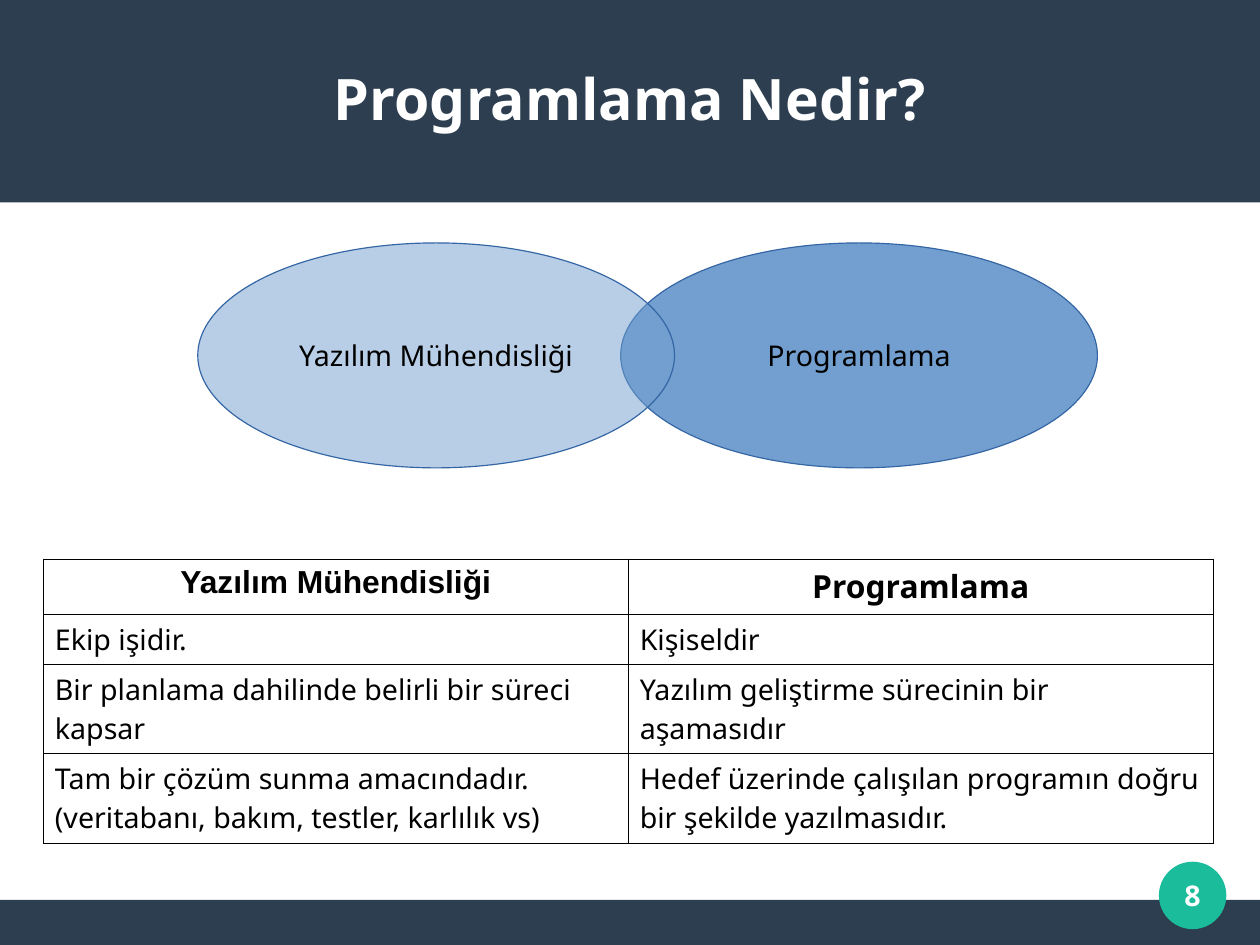
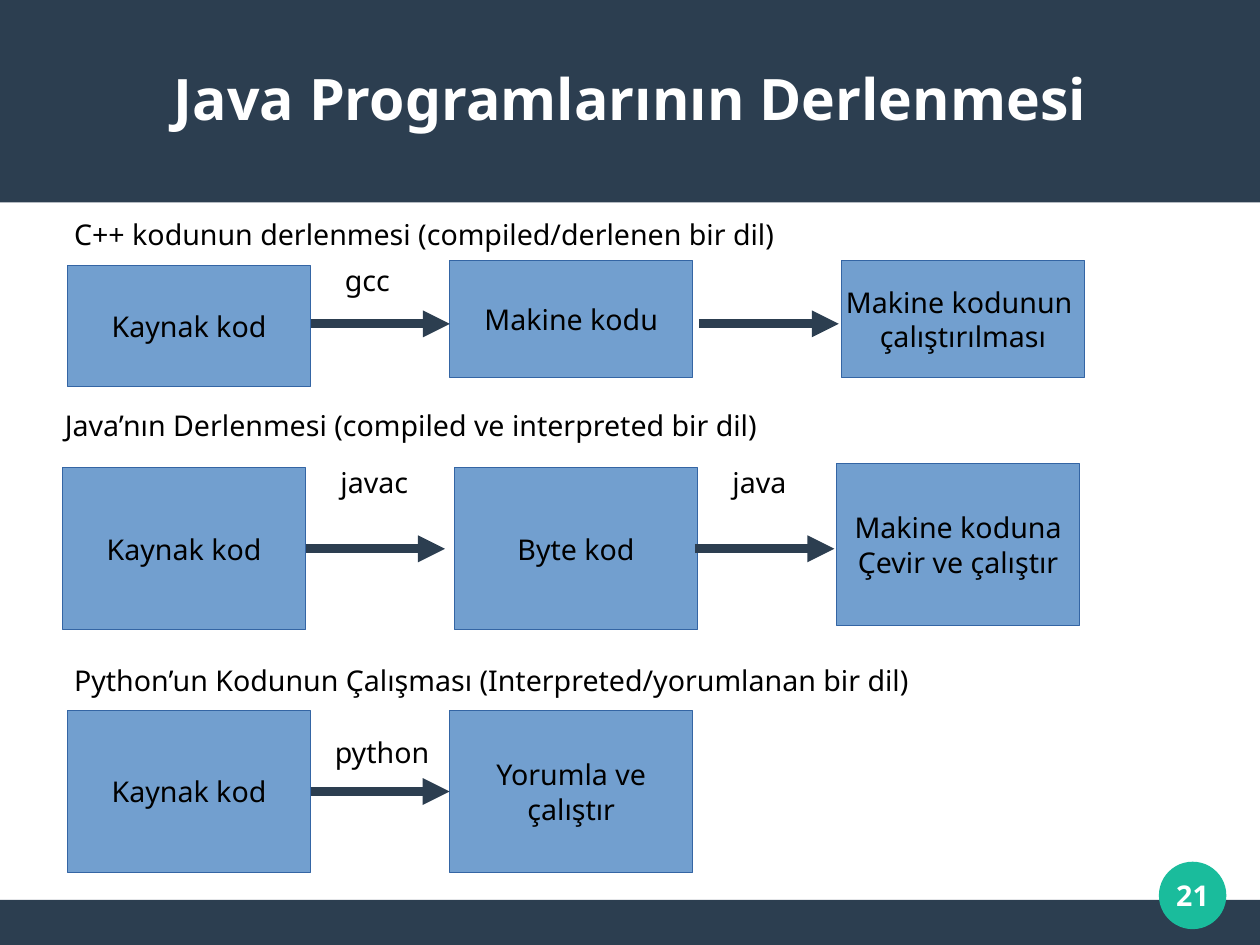
"""Build two slides on programming and on how programs are compiled."""
import pptx
import pptx.util
import pptx.dml.color
import pptx.enum.shapes
import pptx.enum.text
import pptx.oxml
import pptx.oxml.ns
from lxml import etree

Pt = pptx.util.Pt
RGBColor = pptx.dml.color.RGBColor
SHAPE = pptx.enum.shapes.MSO_SHAPE
ALIGN = pptx.enum.text.PP_ALIGN
ANCHOR = pptx.enum.text.MSO_ANCHOR
qn = pptx.oxml.ns.qn

NAVY = RGBColor(0x2C, 0x3E, 0x50)
TEAL = RGBColor(0x1A, 0xBC, 0x9C)
BLUE = RGBColor(0x72, 0x9F, 0xCF)
EDGE = RGBColor(0x34, 0x65, 0xA4)
WHITE = RGBColor(0xFF, 0xFF, 0xFF)
BLACK = RGBColor(0, 0, 0)
FONT = "Noto Sans"
WIDTH, HEIGHT = 793.7, 595.28
FOOTER_Y = 566.9
BOX_W, BOX_H = 153.1, 102
ARROW_W = 87.8


def write(tf, text, size=18, color=BLACK, bold=False, align=ALIGN.LEFT, font=FONT):
    for i, line in enumerate(text.split("\n")):
        p = tf.paragraphs[0] if i == 0 else tf.add_paragraph()
        p.alignment = align
        r = p.add_run()
        r.text = line
        r.font.name = font
        r.font.size = Pt(size)
        r.font.bold = bold
        r.font.color.rgb = color


def add_shape(s, kind, x, y, w, h, fill, edge=None, text="", alpha=None):
    sp = s.shapes.add_shape(kind, Pt(x), Pt(y), Pt(w), Pt(h))
    sp.shadow.inherit = False
    sp.fill.solid()
    sp.fill.fore_color.rgb = fill
    if alpha is not None:
        rgb = sp.element.spPr.find(qn("a:solidFill"))[0]
        etree.SubElement(rgb, qn("a:alpha"), val=str(alpha * 1000))
    if edge is None:
        sp.line.fill.background()
    else:
        sp.line.color.rgb = edge
        sp.line.width = Pt(0)
    if text:
        tf = sp.text_frame
        tf.word_wrap = False
        tf.vertical_anchor = ANCHOR.MIDDLE
        write(tf, text, align=ALIGN.CENTER)
    return sp


def add_text(s, x, y, w, text, wrap=True):
    tf = s.shapes.add_textbox(Pt(x), Pt(y), Pt(w), Pt(31.7)).text_frame
    tf.word_wrap = wrap
    tf.auto_size = pptx.enum.text.MSO_AUTO_SIZE.SHAPE_TO_FIT_TEXT
    write(tf, text)


def add_centered(s, x, y, w, h, text, size):
    tf = s.shapes.add_textbox(Pt(x), Pt(y), Pt(w), Pt(h)).text_frame
    tf.word_wrap = True
    tf.margin_left = tf.margin_top = tf.margin_right = tf.margin_bottom = 0
    tf.vertical_anchor = ANCHOR.MIDDLE
    write(tf, text, size, WHITE, True, ALIGN.CENTER)


def add_arrow(s, x, y, begin=None, end=None):
    line = s.shapes.add_connector(pptx.enum.shapes.MSO_CONNECTOR.STRAIGHT,
                                  Pt(x), Pt(y), Pt(x + ARROW_W), Pt(y))
    line.line.color.rgb = NAVY
    line.line.width = Pt(5.67)
    ln = line.element.spPr.find(qn("a:ln"))
    etree.SubElement(ln, qn("a:tailEnd"), type="triangle")
    etree.SubElement(line.element.spPr, qn("a:effectLst"))
    if begin is not None:
        line.begin_connect(begin, 3)
    if end is not None:
        line.end_connect(end, 1)


def add_borders(cell):
    tc_pr = cell._tc.get_or_add_tcPr()
    for i, side in enumerate(("lnL", "lnR", "lnT", "lnB")):
        ln = etree.Element(qn("a:" + side), w=str(Pt(0.57)))
        fill = etree.SubElement(ln, qn("a:solidFill"))
        etree.SubElement(fill, qn("a:srgbClr"), val=str(BLACK))
        tc_pr.insert(i, ln)


def add_table(s, x, y, col_w, heights, rows):
    table = s.shapes.add_table(len(rows), len(rows[0]), Pt(x), Pt(y),
                               Pt(col_w * len(rows[0])), Pt(sum(heights))).table
    table.first_row = table.horz_banding = False
    for column in table.columns:
        column.width = Pt(col_w)
    for i, row in enumerate(rows):
        table.rows[i].height = Pt(heights[i])
        for j, text in enumerate(row):
            cell = table.cell(i, j)
            cell.fill.background()
            add_borders(cell)
            if i == 0:
                write(cell.text_frame, text, 20, bold=True, align=ALIGN.CENTER,
                      font="Arial" if j == 0 else FONT)
            else:
                write(cell.text_frame, text)


def add_slide(prs, title, number):
    s = prs.slides.add_slide(prs.slide_layouts[6])
    add_shape(s, SHAPE.RECTANGLE, 0, FOOTER_Y, WIDTH, HEIGHT - FOOTER_Y, NAVY)
    add_shape(s, SHAPE.RECTANGLE, 0, 0, WIDTH, 127.5, NAVY)
    add_shape(s, SHAPE.OVAL, 730, 542.8, 42.5, 42.5, TEAL)
    add_centered(s, 28.3, 23.8, 737, 75.6, title, 36)
    add_centered(s, 722.9, 535.6, 56.7, 56.7, number, 18)
    return s


def add_definition(prs):
    s = add_slide(prs, "Programlama Nedir?", "8")
    add_table(s, 27.4, 352.1, 368.4, (34.7, 31.5, 56.4, 56.4), (
        ("Yazılım Mühendisliği", "Programlama"),
        ("Ekip işidir.", "Kişiseldir"),
        ("Bir planlama dahilinde belirli bir süreci kapsar",
         "Yazılım geliştirme sürecinin bir aşamasıdır"),
        ("Tam bir çözüm sunma amacındadır. (veritabanı, bakım, testler, karlılık vs)",
         "Hedef üzerinde çalışılan programın doğru bir şekilde yazılmasıdır."),
    ))
    for x, text, alpha in ((391, "Programlama", None), (124.6, "Yazılım Mühendisliği", 50)):
        add_shape(s, SHAPE.OVAL, x, 153, 300.3, 141.7, BLUE, EDGE, text, alpha)


def add_boxes(s, boxes):
    return [add_shape(s, SHAPE.RECTANGLE, x, y, BOX_W, h, BLUE, EDGE, text)
            for x, y, h, text in boxes]


def add_compilation(prs):
    s = add_slide(prs, "Java Programlarının Derlenmesi", "21")
    for x, y, text in (
        (39.6, 133.2, "C++ kodunun derlenmesi (compiled/derlenen bir dil)"),
        (33.8, 253.4, "Java’nın Derlenmesi (compiled ve interpreted bir dil)"),
        (39.6, 414, "Python’un Kodunun Çalışması (Interpreted/yorumlanan bir dil)"),
    ):
        add_text(s, x, y, 573.8, text)
    add_boxes(s, ((42.5, 167.2, 76.3, "Kaynak kod"),
                  (283.3, 164, 73.7, "Makine kodu"),
                  (530, 164, 73.7, "Makine kodunun \nçalıştırılması")))
    java = add_boxes(s, ((39.4, 294.7, BOX_H, "Kaynak kod"),
                         (286.3, 294.7, BOX_H, "Byte kod"),
                         (527, 292, BOX_H, "Makine koduna\nÇevir ve çalıştır")))
    python = add_boxes(s, ((42.5, 447.6, BOX_H, "Kaynak kod"),
                           (283.3, 447.6, BOX_H, "Yorumla ve\nçalıştır")))
    for x, y, begin, end in ((195.6, 204, None, None),
                             (440.6, 204, None, None),
                             (192.5, 345.7, java[0], None),
                             (437.8, 345.7, None, None),
                             (195.6, 498.6, python[0], python[1])):
        add_arrow(s, x, y, begin, end)
    for x, y, w, text in ((210.2, 162, 45.4, "gcc"), (207.4, 289.4, 61.9, "javac"),
                          (454.3, 289.4, 51.8, "java"), (203.8, 459.4, 77, "python")):
        add_text(s, x, y, w, text, wrap=False)


def main():
    prs = pptx.Presentation()
    prs.slide_width, prs.slide_height = Pt(WIDTH), Pt(HEIGHT)
    add_definition(prs)
    add_compilation(prs)
    prs.save("out.pptx")


if __name__ == "__main__":
    main()
